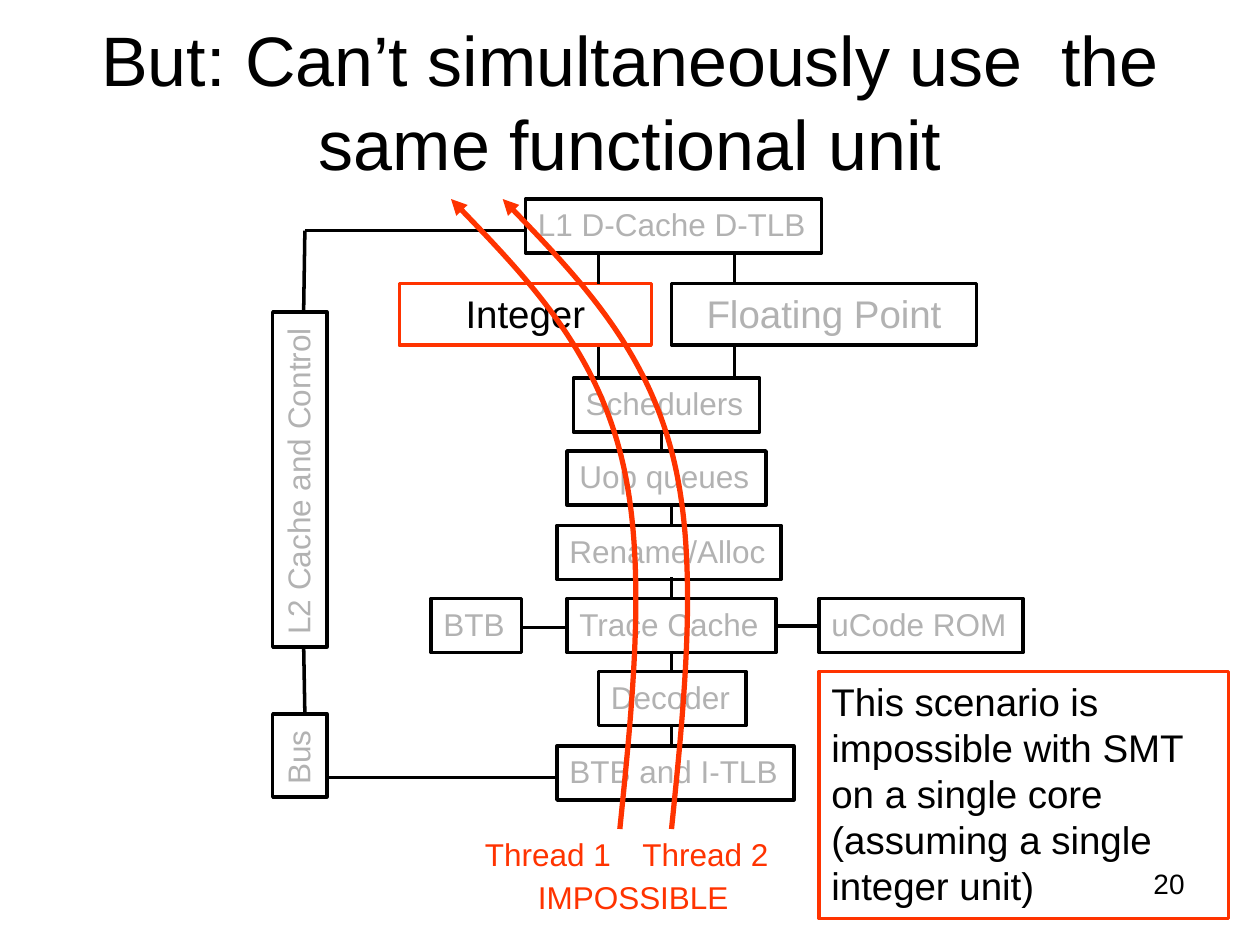
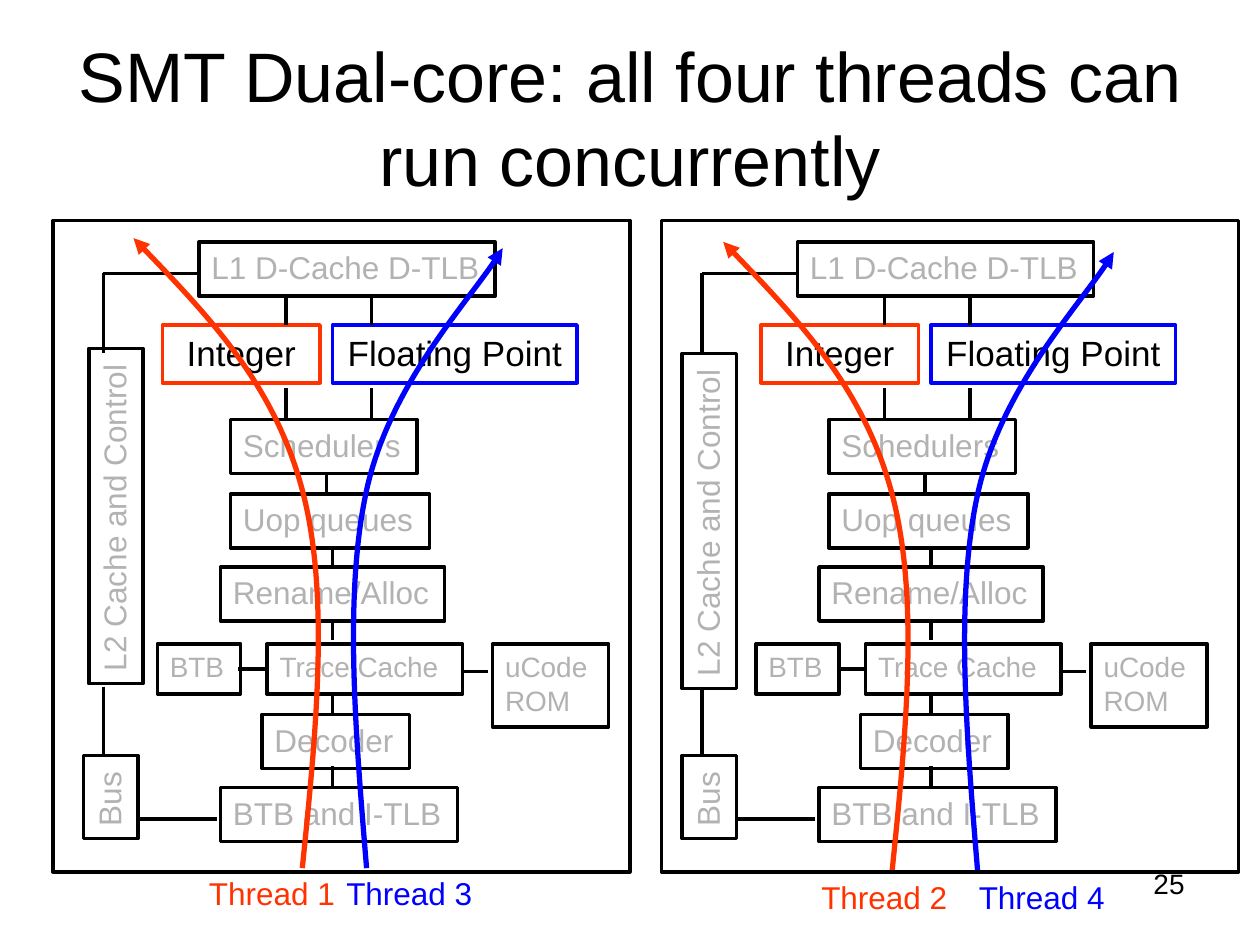
from lxml import etree
from pptx import Presentation
from pptx.dml.color import RGBColor
from pptx.enum.shapes import MSO_CONNECTOR, MSO_SHAPE
from pptx.enum.text import MSO_ANCHOR, MSO_AUTO_SIZE, PP_ALIGN
from pptx.oxml.ns import qn
from pptx.util import Inches, Pt

RECTANGLE = MSO_SHAPE.RECTANGLE
STRAIGHT = MSO_CONNECTOR.STRAIGHT
LEFT, CENTER, RIGHT = PP_ALIGN.LEFT, PP_ALIGN.CENTER, PP_ALIGN.RIGHT
TOP, MIDDLE = MSO_ANCHOR.TOP, MSO_ANCHOR.MIDDLE
GROW, FIXED = MSO_AUTO_SIZE.SHAPE_TO_FIT_TEXT, MSO_AUTO_SIZE.NONE

FONT = "Arial"
BLACK, GRAY, RED, BLUE = "000000", "B2B2B2", "FF3300", "0000FF"
BOX_HEIGHT = {16: 0.4, 18: 0.43, 20: 0.46, 22: 0.49}  # one line, by font size
ROW_STEP = 7 / 12
CORE_STEP = 4.75

# Thread curves, relative to their lower end: start, then two Bezier triples
CURVES = {
    RED: [(0, 0), (0.11, -1.08), (0.22, -2.17), (0, -3),
          (-0.22, -3.83), (-0.78, -4.42), (-1.34, -5)],
    BLUE: [(0, 0), (-0.09, -1.09), (-0.18, -2.18), (0, -3),
           (0.18, -3.82), (0.9, -4.6), (1.08, -4.92)],
}

# Core layouts. Boxes: text, left, top, width, font size, outline, text colour.
# Side lines: from x, from y, to x, to y.
SINGLE = {
    "bottom": 5.92, "spine": 5.33, "queue": 5.25, "pipes": (4.75, 5.83),
    "boxes": [
        ("BTB and I-TLB", 4.42, 5.92, 1.88, 18, BLACK, GRAY),
        ("Decoder", 4.75, 5.33, 1.17, 18, BLACK, GRAY),
        ("Trace Cache", 4.5, 4.75, 1.66, 18, BLACK, GRAY),
        ("Rename/Alloc", 4.42, 4.17, 1.78, 18, BLACK, GRAY),
        ("Uop queues", 4.5, 3.58, 1.58, 18, BLACK, GRAY),
        ("Schedulers", 4.55, 3, 1.48, 18, BLACK, GRAY),
        ("Integer", 3.17, 2.25, 2, 22, RED, BLACK),
        ("Floating Point", 5.33, 2.25, 2.42, 22, BLACK, GRAY),
        ("L1 D-Cache D-TLB", 4.17, 1.58, 2.35, 18, BLACK, GRAY),
        ("uCode ROM", 6.5, 4.75, 1.62, 18, BLACK, GRAY),
        ("BTB", 3.42, 4.75, 0.72, 18, BLACK, GRAY),
        ("Bus", 2.05, 5.78, 0.66, 18, BLACK, GRAY),
    ],
    "side_lines": [
        (2.58, 6.17, 4.42, 6.17), (2.41, 5.12, 2.42, 5.67),
        (4.14, 4.98, 4.51, 4.98), (6.16, 4.97, 6.49, 4.97),
        (2.42, 1.83, 4.17, 1.83), (2.42, 1.83, 2.41, 2.47),
    ],
}
DUAL = {
    "bottom": 6.25, "spine": 2.64, "queue": 2.59, "pipes": (2.27, 2.95),
    "boxes": [
        ("BTB and I-TLB", 1.75, 6.25, 1.88, 18, BLACK, GRAY),
        ("Decoder", 2.08, 5.67, 1.17, 18, BLACK, GRAY),
        ("Trace Cache", 2.12, 5.11, 1.55, 16, BLACK, GRAY),
        ("Rename/Alloc", 1.75, 4.5, 1.78, 18, BLACK, GRAY),
        ("Uop queues", 1.83, 3.92, 1.58, 18, BLACK, GRAY),
        ("Schedulers", 1.83, 3.33, 1.48, 18, BLACK, GRAY),
        ("Integer", 1.29, 2.58, 1.25, 20, RED, BLACK),
        ("Floating Point", 2.64, 2.58, 1.94, 20, BLUE, BLACK),
        ("L1 D-Cache D-TLB", 1.58, 1.92, 2.35, 18, BLACK, GRAY),
        ("uCode \vROM", 3.91, 5.11, 0.92, 16, BLACK, GRAY),
        ("BTB", 1.25, 5.11, 0.66, 16, BLACK, GRAY),
        ("Bus", 0.55, 6.11, 0.66, 18, BLACK, GRAY),
    ],
    "side_lines": [
        (1.08, 6.5, 1.72, 6.5), (0.82, 5.45, 0.82, 6),
        (1.89, 5.31, 2.12, 5.31), (3.66, 5.33, 3.87, 5.33),
        (0.82, 2.17, 1.58, 2.17), (0.82, 2.17, 0.82, 2.8),
    ],
}
WRAPPED = ("Integer", "Floating Point", "uCode \vROM")
CENTERED = ("Integer", "Floating Point")
ROTATED = ("L2 Cache and Control", "Bus")

# Slides. Cores: layout, x shift, L2 box position.
# Threads: curve start, colour. Labels: text, left, top, colour, width.
SLIDES = [
    {
        "title": "But: Can’t simultaneously use  the same functional unit",
        "title_top": 0.17, "number": "20",
        "cores": [(SINGLE, 0, 1.05, 3.59)],
        "threads": [(4.92, 6.58, RED), (5.33, 6.58, RED)],
        "labels": [("Thread 1", 3.75, 6.58, RED, 1.2),
                   ("Thread 2", 5, 6.58, RED, 1.2),
                   ("IMPOSSIBLE", 4.17, 6.92, RED, 1.72)],
        "callout": "This scenario is\vimpossible with SMT\von a single core\v"
                   "(assuming a single integer unit)",
        "frames": [],
    },
    {
        "title": "SMT Dual-core: all four threads can run concurrently",
        "title_top": 0.3, "number": "25",
        "cores": [(DUAL, 0, -0.41, 3.88), (DUAL, CORE_STEP, 4.3, 3.92)],
        "threads": [(2.4, 6.89, RED), (2.91, 6.89, BLUE),
                    (7.76, 6.92, BLUE), (7.08, 6.92, RED)],
        "labels": [("Thread 1", 1.56, 6.89, RED, 1.2),
                   ("Thread 3", 2.65, 6.89, BLUE, 1.2),
                   ("Thread 2", 6.42, 6.92, RED, 1.2),
                   ("Thread 4", 7.67, 6.92, BLUE, 1.2)],
        "callout": None,
        "frames": [0.42, 5.25],
    },
]


def add_text(slide, text, left, top, width, height, size, color, outline=None,
             align=LEFT, wrap=True, anchor=TOP, auto_size=GROW):
    """Add a text box, or an unfilled rectangle when an outline is given."""
    place = [Inches(value) for value in (left, top, width, height)]
    if outline:
        shape = slide.shapes.add_shape(RECTANGLE, *place)
        set_line(shape, outline, 2)
    else:
        shape = slide.shapes.add_textbox(*place)
    frame = shape.text_frame
    frame.word_wrap = wrap
    frame.vertical_anchor = anchor
    frame.auto_size = auto_size
    if text:
        paragraph = frame.paragraphs[0]
        paragraph.text = text
        paragraph.alignment = align
        paragraph.font.name = FONT
        paragraph.font.size = Pt(size)
        paragraph.font.color.rgb = RGBColor.from_string(color)
    return shape


def set_line(shape, color, width):
    """Give a shape or connector a plain line, no fill and no shadow."""
    shape.line.color.rgb = RGBColor.from_string(color)
    shape.line.width = Pt(width)
    if hasattr(shape, "fill"):
        shape.fill.background()
        shape.shadow.inherit = False
    else:
        etree.SubElement(shape._element.spPr, qn("a:effectLst"))


presentation = Presentation()
presentation.slide_width = Inches(10)
presentation.slide_height = Inches(7.5)

for content in SLIDES:
    slide = presentation.slides.add_slide(presentation.slide_layouts[6])

    # Slide number and title
    add_text(slide, content["number"], 7.17, 6.83, 2.33, 0.52, 16, BLACK,
             align=RIGHT, auto_size=FIXED)
    add_text(slide, content["title"], 0.5, content["title_top"], 9, 1.25, 40,
             BLACK, align=CENTER, anchor=MIDDLE, auto_size=FIXED)

    for layout, shift, cache_left, cache_top in content["cores"]:
        # Units of the core
        cache = ("L2 Cache and Control", cache_left - shift, cache_top, 2.66,
                 18, BLACK, GRAY)
        for text, left, top, width, size, outline, color in layout["boxes"] + [cache]:
            height = BOX_HEIGHT[size] + 0.26 * text.count("\v")
            box = add_text(slide, text, left + shift, top, width, height, size,
                           color, outline, CENTER if text in CENTERED else LEFT,
                           wrap=text in WRAPPED)
            if text in ROTATED:
                box.rotation = 270

        # Links: the spine row by row, the two pipes, then the sides
        bottom = layout["bottom"]
        columns = [layout["spine"]] * 4 + [layout["queue"]]
        links = [(x, bottom - row * ROW_STEP, x, bottom - row * ROW_STEP - 0.17)
                 for row, x in enumerate(columns)]
        links += [(x, bottom - rise, x, bottom - rise - 0.25)
                  for rise in (2.92, 3.67) for x in layout["pipes"]]
        for x1, y1, x2, y2 in links + layout["side_lines"]:
            connector = slide.shapes.add_connector(
                STRAIGHT, Inches(x1 + shift), Inches(y1),
                Inches(x2 + shift), Inches(y2))
            set_line(connector, BLACK, 2)

    # Thread curves: lay out the control points, then group them as Beziers
    for x, y, color in content["threads"]:
        points = [(Inches(x + dx), Inches(y + dy)) for dx, dy in CURVES[color]]
        builder = slide.shapes.build_freeform(*points[0])
        builder.add_line_segments(points[1:], close=False)
        curve = builder.convert_to_shape()
        set_line(curve, color, 3)
        segments = list(curve._element.iter(qn("a:lnTo")))
        outline_path = segments[0].getparent()
        for start in (0, 3):
            bezier = etree.SubElement(outline_path, qn("a:cubicBezTo"))
            for segment in segments[start:start + 3]:
                bezier.append(segment[0])
                outline_path.remove(segment)
        etree.SubElement(curve.line._get_or_add_ln(), qn("a:tailEnd"),
                         type="triangle")

    # Thread labels, callout and core frames
    for text, left, top, color, width in content["labels"]:
        add_text(slide, text, left, top, width, 0.4, 18, color, wrap=False)
    if content["callout"]:
        add_text(slide, content["callout"], 6.5, 5.33, 3.25, 1.96, 22, BLACK, RED)
    for left in content["frames"]:
        add_text(slide, "", left, 1.75, 4.58, 5.17, 18, BLACK, BLACK,
                 auto_size=FIXED)

presentation.save("out.pptx")
